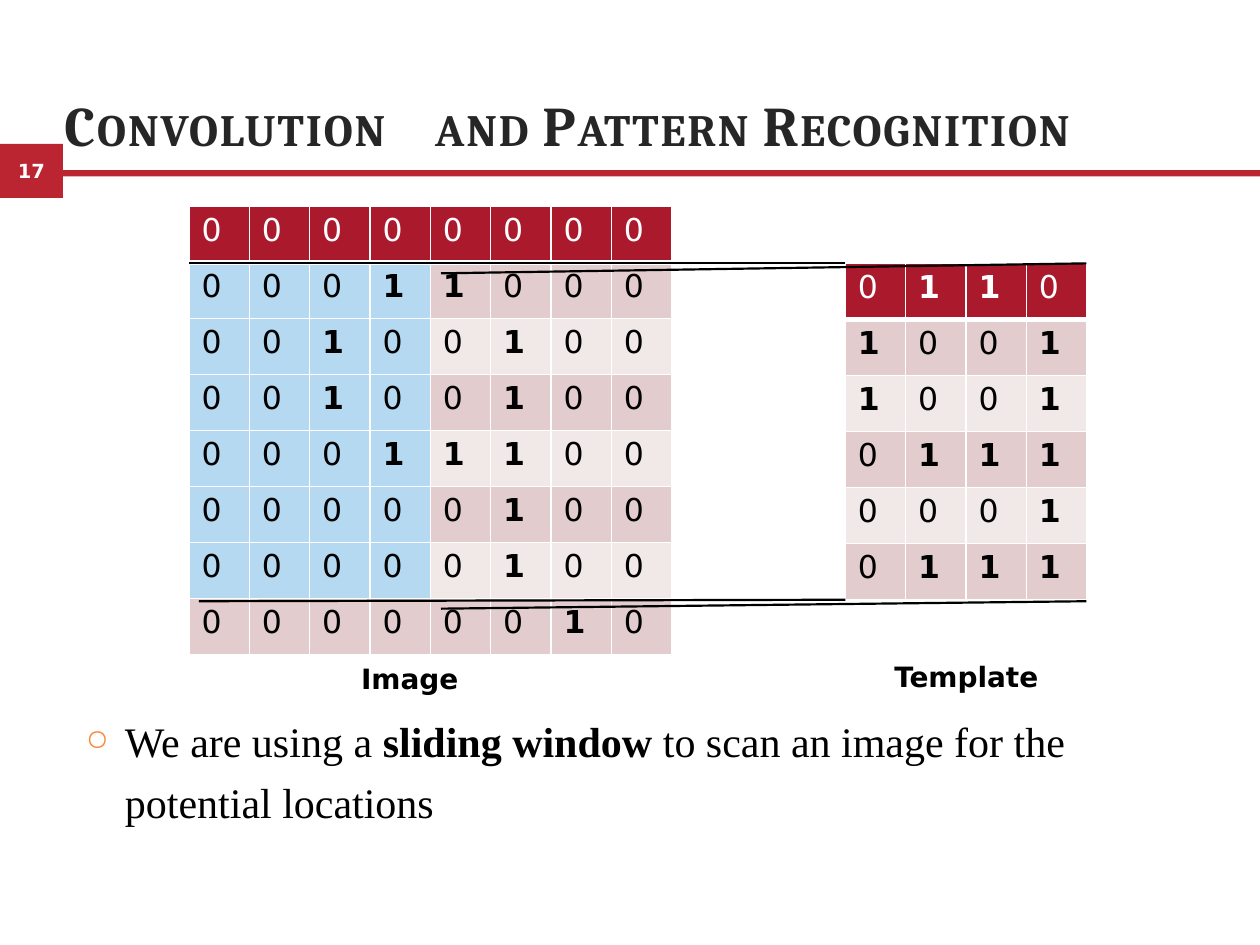
from lxml import etree
from pptx import Presentation
from pptx import util as u
from pptx.dml.color import RGBColor
from pptx.enum import shapes, text
from pptx.oxml import ns, parse_xml

WHITE = RGBColor(0xFF, 0xFF, 0xFF)
BLACK = RGBColor(0, 0, 0)
DARK = RGBColor(0x26, 0x26, 0x26)
RED = RGBColor(0xBB, 0x25, 0x32)
HEADER = RGBColor(0xAB, 0x19, 0x2D)
BANDS = RGBColor(0xF1, 0xE8, 0xE8), RGBColor(0xE2, 0xCC, 0xCD)
WINDOW = RGBColor(0xB5, 0xD9, 0xF1)
BULLET = RGBColor(0xFD, 0x85, 0x37)
SANS, SERIF, TITLE_FONT = "DejaVu Sans", "Times New Roman", "Cambria"

# Content: runs are (text, format) pairs, lengths are centimetres
TITLE = [("Convolution", {}), (" ", {"spacing": 4.7}), ("and Pattern Recognition", {})]
BODY = [
    ("We are using a ", {}),
    ("sliding window", {"bold": True}),
    (" to scan an image for the potential locations", {}),
]
IMAGE = ["00000000", "00011000", "00100100", "00100100",
         "00011100", "00000100", "00000100", "00000010"]
TEMPLATE = ["0110", "1001", "1001", "0111", "0001", "0111"]
WINDOW_ROWS, WINDOW_COLUMNS = range(1, 7), range(4)
LABELS = [("Image", 5.76, 13.21), ("Template", 16.98, 13.18)]
LINES = [
    ((17.04, 5.31), (3.81, 5.31)),
    ((21.9, 5.31), (8.89, 5.51)),
    ((17.04, 12.09), (4.01, 12.12)),
    ((21.9, 12.12), (8.89, 12.27)),
]
COLUMN_WIDTH, ROW_HEIGHT = u.Cm(9.73) // 8, u.Cm(1.13)


def write(frame, runs, size=18, font=SANS, color=BLACK, bold=False, align=None,
          spacing=None, small_caps=False, line_spacing=None):
    """Fill the first paragraph; each run may override bold and spacing."""
    paragraph = frame.paragraphs[0]
    paragraph.alignment = align
    paragraph.line_spacing = line_spacing
    for words, override in runs:
        run = paragraph.add_run()
        run.text = words
        run.font.size, run.font.name = u.Pt(size), font
        run.font.color.rgb = color
        run.font.bold = override.get("bold", bold)
        tracking = override.get("spacing", spacing)
        if tracking is not None:
            run.font._element.set("spc", str(round(tracking * 100)))
        if small_caps:
            run.font._element.set("cap", "small")


def add_text_box(slide, left, top, width, height, inset=None):
    shape = slide.shapes.add_textbox(u.Cm(left), u.Cm(top), u.Cm(width), u.Cm(height))
    frame = shape.text_frame
    frame.word_wrap = True
    if inset is not None:
        frame.margin_left = frame.margin_right = u.Cm(inset)
        frame.margin_top = frame.margin_bottom = u.Cm(inset)
    return frame


def add_bar(slide, left, top, width, height):
    shape = slide.shapes.add_shape(shapes.MSO_SHAPE.RECTANGLE, u.Cm(left), u.Cm(top),
                                   u.Cm(width), u.Cm(height))
    shape.shadow.inherit = False
    shape.fill.solid()
    shape.fill.fore_color.rgb = RED
    shape.line.fill.background()
    return shape


def add_bullet(paragraph, indent):
    properties = paragraph._p.get_or_add_pPr()
    properties.set("marL", str(u.Cm(indent)))
    properties.set("indent", str(-u.Cm(indent)))
    for xml in (f'<a:buClr {ns.nsdecls("a")}><a:srgbClr val="{BULLET}"/></a:buClr>',
                f'<a:buSzPct {ns.nsdecls("a")} val="69000"/>',
                f'<a:buChar {ns.nsdecls("a")} char="○"/>'):
        properties.append(parse_xml(xml))


def add_borders(cell, bottom):
    properties = cell._tc.get_or_add_tcPr()
    for side, width in (("L", 1), ("R", 1), ("T", 1), ("B", bottom)):
        properties.append(parse_xml(
            f'<a:ln{side} {ns.nsdecls("a")} w="{u.Pt(width)}"><a:solidFill>'
            f'<a:srgbClr val="{WHITE}"/></a:solidFill></a:ln{side}>'))


def add_grid(slide, rows, left, top, has_window=False):
    count = len(rows[0])
    table = slide.shapes.add_table(len(rows), count, u.Cm(left), u.Cm(top),
                                   COLUMN_WIDTH * count, ROW_HEIGHT * len(rows)).table
    for column in table.columns:
        column.width = COLUMN_WIDTH
    for i, digits in enumerate(rows):
        table.rows[i].height = ROW_HEIGHT
        for j, digit in enumerate(digits):
            cell = table.cell(i, j)
            is_header = i == 0
            add_borders(cell, 3 if is_header else 1)
            cell.fill.solid()
            if is_header:
                color = HEADER
            elif has_window and i in WINDOW_ROWS and j in WINDOW_COLUMNS:
                color = WINDOW
            else:
                color = BANDS[i % 2]
            cell.fill.fore_color.rgb = color
            write(cell.text_frame, [(digit, {})], bold=digit == "1",
                  color=WHITE if is_header else BLACK)


def add_line(slide, start, end):
    connector = slide.shapes.add_connector(
        shapes.MSO_CONNECTOR.STRAIGHT, *(u.Cm(value) for value in start + end))
    connector.line.color.rgb = BLACK
    connector.line.width = u.Pt(1.25)
    etree.SubElement(connector._element.spPr, ns.qn("a:effectLst"))


def main():
    presentation = Presentation()
    presentation.slide_width, presentation.slide_height = u.Cm(25.4), u.Cm(19.05)
    slide = presentation.slides.add_slide(presentation.slide_layouts[6])

    # Page number and rule
    number = add_bar(slide, 0, 2.9, 1.27, 1.09).text_frame
    number.margin_left = number.margin_right = 0
    number.vertical_anchor = text.MSO_ANCHOR.MIDDLE
    write(number, [("17", {})], size=11.1, color=WHITE, bold=True, align=text.PP_ALIGN.CENTER)
    add_bar(slide, 1.27, 3.43, 24.13, 0.13)

    # Title and body
    title = add_text_box(slide, 1.3, 0, 22.86, 3.18, inset=0)
    title.vertical_anchor = text.MSO_ANCHOR.BOTTOM
    write(title, TITLE, size=32, font=TITLE_FONT, color=DARK, bold=True,
          spacing=1.1, small_caps=True)
    body = add_text_box(slide, 1.73, 14.23, 22, 3.66, inset=0)
    add_bullet(body.paragraphs[0], 0.79)
    write(body, BODY, size=24, font=SERIF, line_spacing=1.2)

    # Grids with labels
    add_grid(slide, IMAGE, 3.81, 4.16, has_window=True)
    add_grid(slide, TEMPLATE, 17.04, 5.31)
    for label, left, top in LABELS:
        frame = add_text_box(slide, left, top, 5, 0.97)
        write(frame, [(label, {})], size=16, bold=True, align=text.PP_ALIGN.CENTER)

    # Lines from the window to the template
    for start, end in LINES:
        add_line(slide, start, end)

    presentation.save("out.pptx")


if __name__ == "__main__":
    main()
